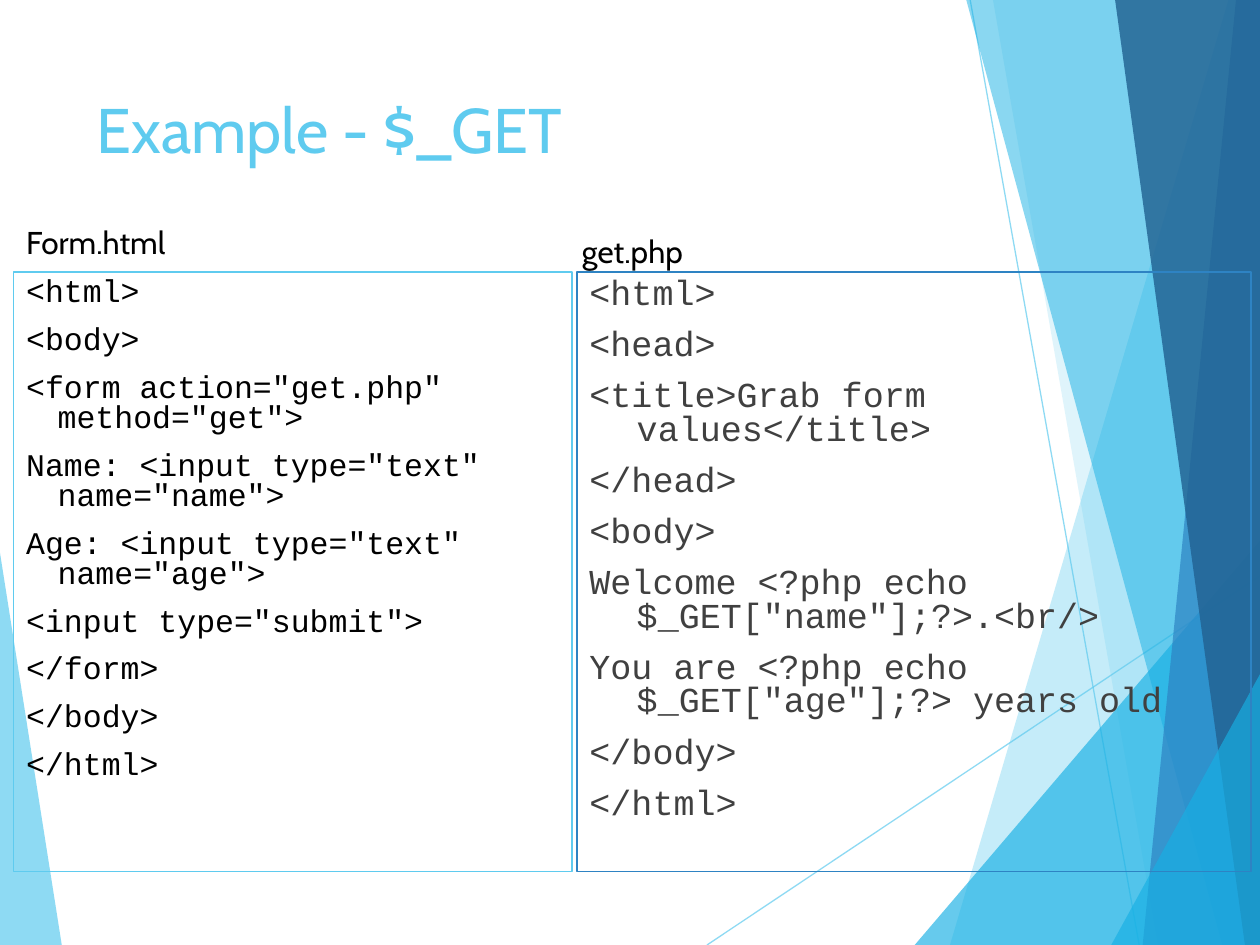
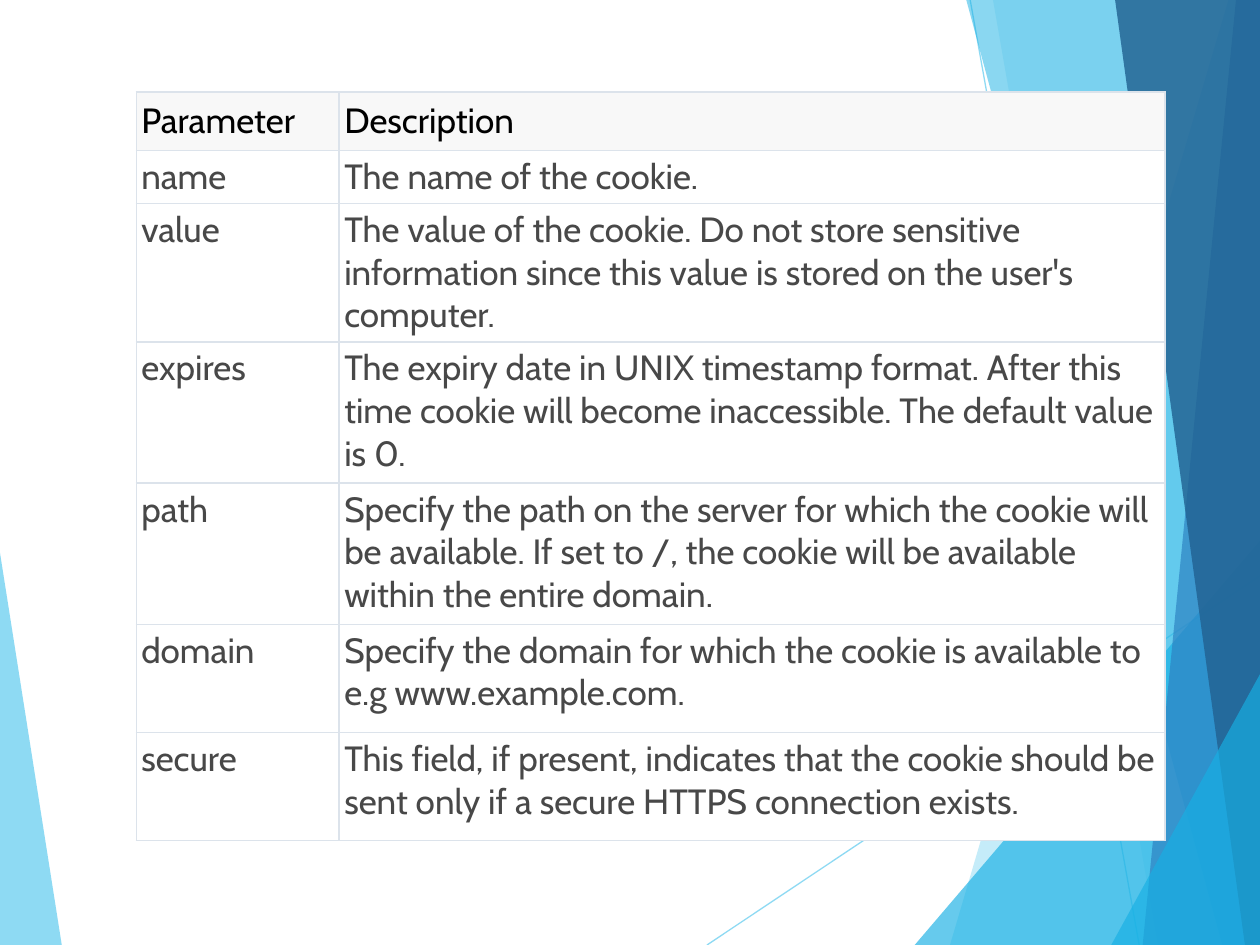
from dataclasses import dataclass

from lxml.etree import SubElement
from pptx import Presentation
from pptx.dml.color import RGBColor
from pptx.enum.shapes import MSO_CONNECTOR, MSO_SHAPE
from pptx.enum.text import MSO_ANCHOR, PP_ALIGN
from pptx.oxml.ns import qn
from pptx.util import Pt


@dataclass(frozen=True)
class Theme:
    sky: str = "5FCBEF"
    azure: str = "17B0E4"
    blue: str = "2E83C3"
    navy: str = "226292"
    black: str = "000000"
    code_grey: str = "404040"
    cell_grey: str = "484848"
    header_fill: str = "F8F8F8"
    cell_fill: str = "FFFFFF"
    border: str = "DCE3EB"
    font: str = "Cabin"
    code_font: str = "Courier New"
    title_size: int = 36
    label_size: int = 18
    table_size: int = 20
    line_width: float = 0.75


THEME = Theme()
WIDTH, HEIGHT = 720, 540

TITLE = "Example - $_GET"
TITLE_FRAME = (48.24, 48.24, 499.68, 103.68)

LABELS = [
    ("Form.html", (7.92, 123.84, 131.76, 28.8)),
    ("get.php", (325.44, 128.88, 131.76, 28.8)),
]

CODE_TOP, CODE_HEIGHT = 155.52, 342.72
CODE_PANELS = [
    {
        "left": 329.76, "width": 385.2, "line": THEME.blue,
        "color": THEME.code_grey, "size": 20, "indent": 27,
        "code": [
            "<html>",
            "<head>",
            "<title>Grab form values</title>",
            "</head>",
            "<body>",
            'Welcome <?php echo $_GET["name"];?>.<br/>',
            'You are <?php echo $_GET["age"];?> years old',
            "</body>",
            "</html>",
        ],
    },
    {
        "left": 7.92, "width": 318.96, "line": THEME.sky,
        "color": THEME.black, "size": 18, "indent": 18,
        "code": [
            "<html>",
            "<body>",
            '<form action="get.php" method="get">',
            'Name: <input type="text" name="name">',
            'Age: <input type="text" name="age">',
            '<input type="submit">',
            "</form>",
            "</body>",
            "</html>",
        ],
    },
]

TABLE_FRAME = (77.76, 52.56, 588.24, 439.2)
COLUMN_WIDTHS = [116, 472]
ROW_HEIGHTS = [28.8, 25.2, 61.92, 80.64, 80.64, 61.92, 61.92]
COOKIE_ROWS = [
    ("Parameter", "Description"),
    ("name", "The name of the cookie."),
    ("value", "The value of the cookie. Do not store sensitive information "
              "since this value is stored on the user's computer."),
    ("expires", "The expiry date in UNIX timestamp format. After this time "
                "cookie will become inaccessible. The default value is 0."),
    ("path", "Specify the path on the server for which the cookie will be "
             "available. If set to /, the cookie will be available within "
             "the entire domain."),
    ("domain", "Specify the domain for which the cookie is available to "
               "e.g www.example.com."),
    ("secure", "This field, if present, indicates that the cookie should be "
               "sent only if a secure HTTPS connection exists."),
]

LEFT_WEDGE = ([(0, 316), (35.3, HEIGHT), (0, HEIGHT)], THEME.sky, 70)
RAYS = [((404, HEIGHT), (WIDTH, 329)), ((554.4, 0), (651, HEIGHT))]
RAY_OPACITY = 70


def right_band(top_x, bottom_x):
    return [(top_x, 0), (bottom_x, HEIGHT), (WIDTH, HEIGHT), (WIDTH, 0)]


def right_corner(bottom_x, side_y):
    return [(bottom_x, HEIGHT), (WIDTH, side_y), (WIDTH, HEIGHT)]


RIGHT_FACETS = [
    (right_band(702, 542.9), THEME.sky, 36),
    (right_band(567.4, 661.7), THEME.sky, 20),
    (right_corner(522.7, 309), THEME.azure, 66),
    (right_band(552.2, 698.4), THEME.azure, 50),
    (right_band(706.3, 653), THEME.blue, 70),
    (right_band(637.2, 711.4), THEME.navy, 82),
    (right_corner(635, 385.2), THEME.azure, 66),
]


def rgb(color):
    return RGBColor.from_string(color)


def points(values):
    return [Pt(value) for value in values]


def set_opacity(shape, percent):
    for color in shape._element.spPr.iter(qn("a:srgbClr")):
        SubElement(color, qn("a:alpha"), val=str(percent * 1000))


def style_paragraph(para, font, size, color):
    para.alignment = PP_ALIGN.LEFT
    para.font.name = font
    para.font.size = Pt(size)
    para.font.color.rgb = rgb(color)


def add_facet(page, outline, color, opacity):
    start, *rest = [points(corner) for corner in outline]
    builder = page.shapes.build_freeform(*start, scale=1.0)
    builder.add_line_segments(rest, close=True)
    facet = builder.convert_to_shape()
    facet.shadow.inherit = False
    facet.fill.solid()
    facet.fill.fore_color.rgb = rgb(color)
    facet.line.fill.background()
    set_opacity(facet, opacity)


def add_ray(page, start, end):
    ray = page.shapes.add_connector(
        MSO_CONNECTOR.STRAIGHT, *points(start + end))
    ray.line.color.rgb = rgb(THEME.sky)
    ray.line.width = Pt(THEME.line_width)
    set_opacity(ray, RAY_OPACITY)
    SubElement(ray._element.spPr, qn("a:effectLst"))


def add_page(deck):
    page = deck.slides.add_slide(deck.slide_layouts[6])
    add_facet(page, *LEFT_WEDGE)
    for ray in RAYS:
        add_ray(page, *ray)
    for facet in RIGHT_FACETS:
        add_facet(page, *facet)
    return page


def add_text(page, text, frame, size, color):
    box = page.shapes.add_textbox(*points(frame))
    box.text_frame.word_wrap = True
    box.text_frame.text = text
    style_paragraph(box.text_frame.paragraphs[0], THEME.font, size, color)


def add_code_panel(page, panel):
    box = page.shapes.add_shape(
        MSO_SHAPE.RECTANGLE,
        *points((panel["left"], CODE_TOP, panel["width"], CODE_HEIGHT)))
    box.shadow.inherit = False
    box.fill.background()
    box.line.color.rgb = rgb(panel["line"])
    box.line.width = Pt(THEME.line_width)
    frame = box.text_frame
    frame.word_wrap = True
    frame.vertical_anchor = MSO_ANCHOR.TOP
    frame.text = "\n".join(panel["code"])
    for index, para in enumerate(frame.paragraphs):
        properties = para._p.get_or_add_pPr()
        properties.set("marL", str(Pt(panel["indent"])))
        properties.set("indent", str(-Pt(panel["indent"])))
        para.line_spacing = 0.8
        para.space_before = Pt(10 if index else 0)
        style_paragraph(para, THEME.code_font, panel["size"], panel["color"])


def add_borders(cell):
    properties = cell._tc.get_or_add_tcPr()
    for position, side in enumerate(("lnL", "lnR", "lnT", "lnB")):
        line = SubElement(properties, qn(f"a:{side}"),
                          w=str(Pt(THEME.line_width)))
        fill = SubElement(line, qn("a:solidFill"))
        SubElement(fill, qn("a:srgbClr"), val=THEME.border)
        properties.insert(position, line)


def style_cell(cell, text, is_header):
    cell.text = text
    cell.margin_left = cell.margin_right = Pt(3)
    cell.margin_top = cell.margin_bottom = Pt(4.5 if is_header else 3)
    cell.fill.solid()
    cell.fill.fore_color.rgb = rgb(
        THEME.header_fill if is_header else THEME.cell_fill)
    add_borders(cell)
    style_paragraph(cell.text_frame.paragraphs[0], THEME.font,
                    THEME.table_size,
                    THEME.black if is_header else THEME.cell_grey)


def add_cookie_table(page):
    holder = page.shapes.add_table(
        len(COOKIE_ROWS), len(COLUMN_WIDTHS), *points(TABLE_FRAME))
    table = holder.table
    table.first_row = table.horz_banding = False
    for column, width in zip(table.columns, COLUMN_WIDTHS):
        column.width = Pt(width)
    for row, height in zip(table.rows, ROW_HEIGHTS):
        row.height = Pt(height)
    for row_index, texts in enumerate(COOKIE_ROWS):
        for column_index, text in enumerate(texts):
            style_cell(table.cell(row_index, column_index), text,
                       row_index == 0)


def main():
    deck = Presentation()
    deck.slide_width, deck.slide_height = points((WIDTH, HEIGHT))

    example_page = add_page(deck)
    add_text(example_page, TITLE, TITLE_FRAME, THEME.title_size, THEME.sky)
    for panel in CODE_PANELS:
        add_code_panel(example_page, panel)
    for label, frame in LABELS:
        add_text(example_page, label, frame, THEME.label_size, THEME.black)

    add_cookie_table(add_page(deck))
    deck.save("out.pptx")


if __name__ == "__main__":
    main()
